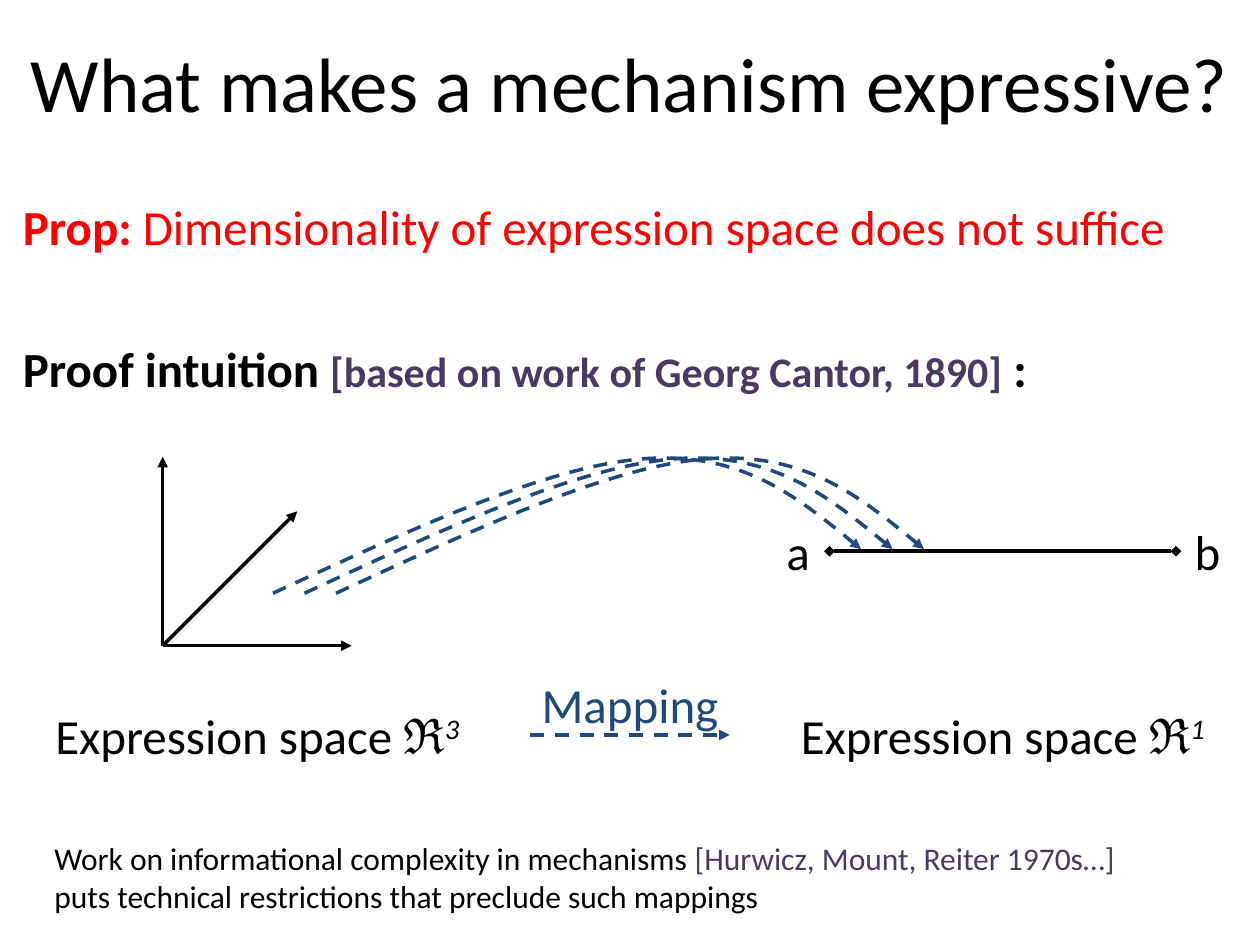
from dataclasses import dataclass
from typing import NamedTuple

import pptx
import pptx.dml.color
import pptx.enum.dml
import pptx.enum.shapes
import pptx.enum.text
import pptx.oxml
import pptx.oxml.ns
import pptx.util

COLUMNS, ROWS = 120, 90
COLORS = {"black": "000000", "red": "FF0000", "blue": "1F497D", "purple": "493963"}
LEFT = pptx.enum.text.PP_ALIGN.LEFT
CENTER = pptx.enum.text.PP_ALIGN.CENTER

presentation = pptx.Presentation()
presentation.slide_width = pptx.util.Inches(10)
presentation.slide_height = pptx.util.Inches(7.5)
slide = presentation.slides.add_slide(presentation.slide_layouts[6])


class Point(NamedTuple):
    column: float
    row: float


class Run(NamedTuple):
    text: str
    size: int = 28
    color: str = "black"
    bold: bool = False
    superscript: bool = False


@dataclass
class Label:
    column: float
    row: float
    columns: float
    rows: float
    paragraphs: list[list[Run]]
    alignment: int = CENTER


@dataclass
class Line:
    start: Point
    end: Point
    color: str = "black"
    dashed: bool = False
    head: str = "none"
    tail: str = "triangle"


def across(columns: float) -> int:
    return round(presentation.slide_width * columns / COLUMNS)


def down(rows: float) -> int:
    return round(presentation.slide_height * rows / ROWS)


def rgb(name: str) -> pptx.dml.color.RGBColor:
    return pptx.dml.color.RGBColor.from_string(COLORS[name])


def add_element(parent, tag: str, **attributes: str):
    element = pptx.oxml.parse_xml(f"<{tag} {pptx.oxml.ns.nsdecls('a')}/>")
    for name, value in attributes.items():
        element.set(name, value)
    parent.append(element)
    return element


def draw_label(label: Label) -> None:
    box = slide.shapes.add_textbox(
        across(label.column), down(label.row), across(label.columns), down(label.rows))
    frame = box.text_frame
    side = pptx.util.Inches(0.1 if label.alignment == LEFT else 0)
    frame_format = {
        "word_wrap": True,
        "vertical_anchor": pptx.enum.text.MSO_ANCHOR.MIDDLE,
        "margin_left": side,
        "margin_right": side,
        "margin_top": 0,
        "margin_bottom": 0,
    }
    for name, value in frame_format.items():
        setattr(frame, name, value)
    for index, runs in enumerate(label.paragraphs):
        paragraph = frame.add_paragraph() if index else frame.paragraphs[0]
        paragraph.alignment = label.alignment
        for item in runs:
            run = paragraph.add_run()
            run.text = item.text
            font_format = {
                "name": "Calibri",
                "size": pptx.util.Pt(item.size),
                "bold": item.bold,
                "italic": item.superscript,
            }
            for name, value in font_format.items():
                setattr(run.font, name, value)
            run.font.color.rgb = rgb(item.color)
            if item.superscript:
                run._r.get_or_add_rPr().set("baseline", "30000")


def style_line(shape, color: str, dashed: bool, head: str, tail: str) -> None:
    shape.line.color.rgb = rgb(color)
    shape.line.width = pptx.util.Pt(2)
    if dashed:
        shape.line.dash_style = pptx.enum.dml.MSO_LINE.DASH
    outline = shape.line._get_or_add_ln()
    add_element(outline, "a:headEnd", type=head)
    add_element(outline, "a:tailEnd", type=tail)


def draw_line(line: Line) -> None:
    connector = slide.shapes.add_connector(
        pptx.enum.shapes.MSO_CONNECTOR.STRAIGHT,
        across(line.start.column), down(line.start.row),
        across(line.end.column), down(line.end.row))
    style_line(connector, line.color, line.dashed, line.head, line.tail)
    add_element(connector._element.spPr, "a:effectLst")


def draw_curve(start: Point, offsets: list[Point]) -> None:
    builder = slide.shapes.build_freeform(across(start.column), down(start.row))
    builder.add_line_segments(
        [(across(start.column + offset.column), down(start.row + offset.row))
         for offset in offsets], close=False)
    curve = builder.convert_to_shape()
    segments = curve._element.findall(".//" + pptx.oxml.ns.qn("a:lnTo"))
    outline = segments[0].getparent()
    for first in range(0, len(segments), 3):
        bezier = add_element(outline, "a:cubicBezTo")
        for segment in segments[first:first + 3]:
            bezier.append(segment[0])
            outline.remove(segment)
    curve.shadow.inherit = False
    curve.fill.background()
    style_line(curve, "blue", True, "none", "triangle")


def expression_space(column: float, dimension: str) -> Label:
    return Label(column, 65, 45, 10,
                 [[Run("Expression space ℜ"), Run(dimension, superscript=True)]])


def main() -> None:
    origin = Point(15.5, 61.5)
    labels = [
        Label(1, 3.6, 118, 8.4, [[Run("What makes a mechanism expressive?", 44)]]),
        Label(1, 16, 117, 11, [[
            Run("Prop: ", color="red", bold=True),
            Run("Dimensionality of expression space does not suffice", color="red")]], LEFT),
        Label(1, 32, 113, 6, [[
            Run("Proof intuition ", bold=True),
            Run("[based on work of Georg Cantor, 1890]", 24, "purple", True),
            Run(" "),
            Run(":", bold=True)]], LEFT),
        expression_space(2, "3"),
        expression_space(73, "1"),
        Label(74, 50.5, 4, 4, [[Run("a")]]),
        Label(113, 50.5, 4, 4, [[Run("b")]]),
        Label(48.5, 65, 23, 4, [[Run("Mapping", color="blue")]]),
        Label(4, 80, 108, 7, [
            [Run("Work on informational complexity in mechanisms ", 18),
             Run("[Hurwicz, Mount, Reiter 1970s…]", 18, "purple")],
            [Run("puts technical restrictions that preclude such mappings", 18)]], LEFT),
    ]
    lines = [Line(origin, end) for end in
             (Point(33.5, 61.5), Point(15.5, 43.5), Point(28.3, 48.7))]
    lines += [
        Line(Point(79, 52.5), Point(112, 52.5), head="diamond", tail="diamond"),
        Line(Point(50.5, 70), Point(69.5, 70), "blue", True),
    ]
    arc = [Point(13, -6), Point(26, -12.1), Point(35.3, -12.8),
           Point(44.6, -13.5), Point(50.3, -8.9), Point(56, -4.2)]

    for label in labels:
        draw_label(label)
    for line in lines:
        draw_line(line)
    for column in (26, 29, 32):
        draw_curve(Point(column, 56.5), arc)
    presentation.save("out.pptx")


if __name__ == "__main__":
    main()
